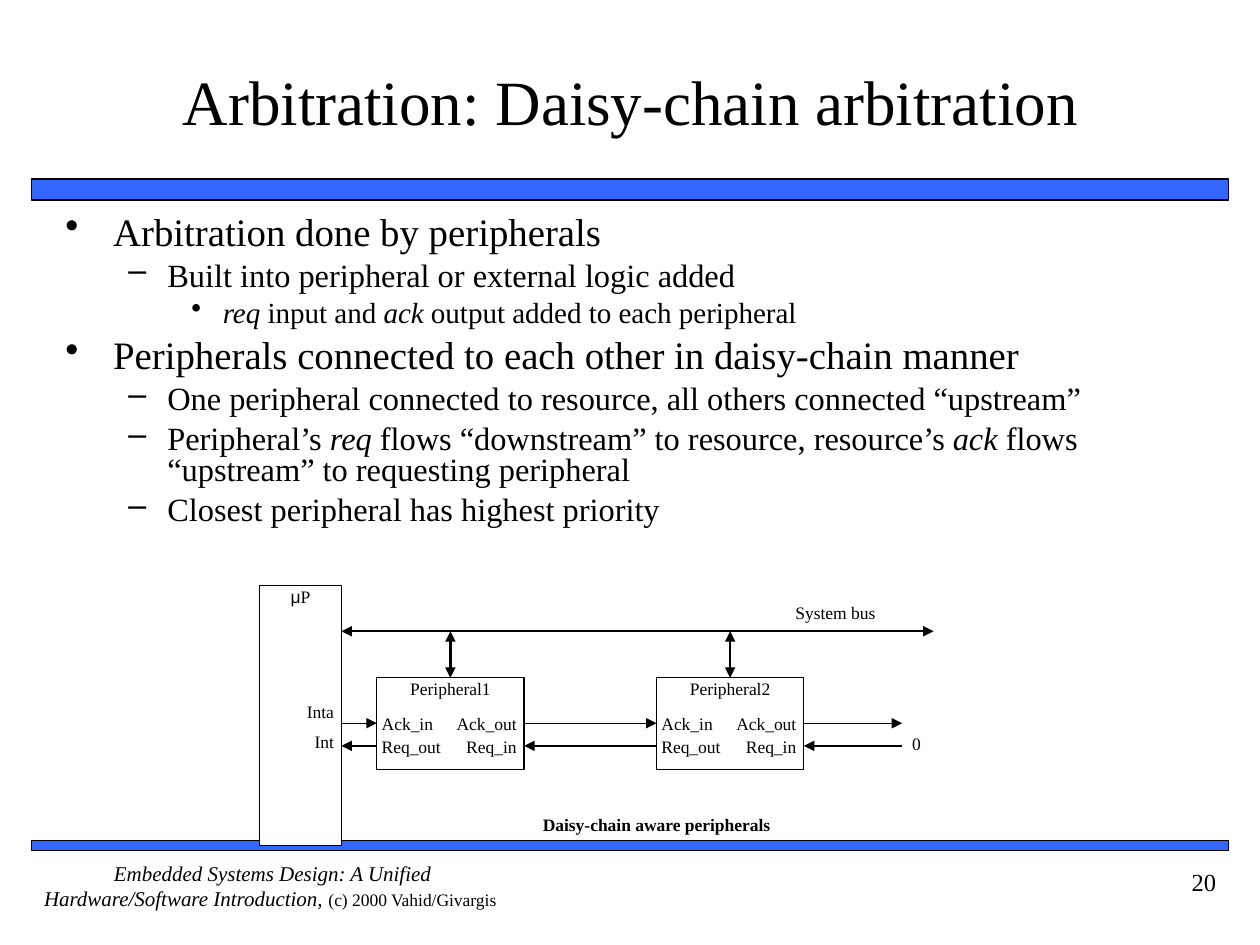
from dataclasses import dataclass

from lxml import etree
from pptx import Presentation
from pptx import util as u
from pptx.dml.color import RGBColor
from pptx.enum import shapes, text
from pptx.oxml.ns import qn

COLORS = {"black": "000000", "white": "FFFFFF", "bar": "3366FF"}
SERIF = "Times New Roman"
LEFT, CENTER, RIGHT = (text.PP_ALIGN.LEFT, text.PP_ALIGN.CENTER,
                       text.PP_ALIGN.RIGHT)


@dataclass
class Run:
    text: str
    size: float = 10
    italic: bool = False
    bold: bool = False
    font: str = SERIF


@dataclass
class Box:
    left: float
    top: float
    width: float
    height: float


@dataclass
class Level:
    size: float
    indent: float
    hang: float
    before: float
    bullet: str


@dataclass
class Wire:
    x1: float
    y1: float
    x2: float
    y2: float
    weight: float = 0.75
    both_ends: bool = False


@dataclass
class Peripheral:
    name: str
    left: float


def rgb(name: str) -> RGBColor:
    return RGBColor.from_string(COLORS[name])


def add_runs(p, runs: list[Run]) -> None:
    for run in runs:
        r = p.add_run()
        r.text = run.text
        r.font.name = run.font
        r.font.size = u.Pt(run.size)
        r.font.italic = run.italic
        r.font.bold = run.bold
        r.font.color.rgb = rgb("black")


def set_frame(tf, inset_x: float = 0, inset_y: float = 0,
              anchor=text.MSO_ANCHOR.TOP) -> None:
    tf.word_wrap = True
    tf.margin_left = tf.margin_right = u.Inches(inset_x)
    tf.margin_top = tf.margin_bottom = u.Inches(inset_y)
    tf.vertical_anchor = anchor


def inches(box: Box) -> list[int]:
    return [u.Inches(v) for v in (box.left, box.top, box.width, box.height)]


def add_text(s, box: Box, runs: list[Run], align=LEFT, **frame):
    tf = s.shapes.add_textbox(*inches(box)).text_frame
    set_frame(tf, **frame)
    p = tf.paragraphs[0]
    p.alignment = align
    add_runs(p, runs)
    return tf


def add_rect(s, box: Box, fill: str, weight: float, runs: list[Run]) -> None:
    sp = s.shapes.add_shape(shapes.MSO_SHAPE.RECTANGLE, *inches(box))
    sp.shadow.inherit = False
    sp.fill.solid()
    sp.fill.fore_color.rgb = rgb(fill)
    sp.line.color.rgb = rgb("black")
    sp.line.width = u.Pt(weight)
    set_frame(sp.text_frame)
    p = sp.text_frame.paragraphs[0]
    p.alignment = CENTER
    add_runs(p, runs)


def add_wire(s, w: Wire) -> None:
    ends = [u.Inches(v) for v in (w.x1, w.y1, w.x2, w.y2)]
    cx = s.shapes.add_connector(shapes.MSO_CONNECTOR.STRAIGHT, *ends)
    cx.line.color.rgb = rgb("black")
    cx.line.width = u.Pt(w.weight)
    ln = cx.line._get_or_add_ln()
    for tag in ("a:headEnd", "a:tailEnd") if w.both_ends else ("a:tailEnd",):
        etree.SubElement(ln, qn(tag), type="triangle")
    etree.SubElement(cx._element.spPr, qn("a:effectLst"))


def add_bullets(s, box: Box, items: list[tuple[int, list[Run]]]) -> None:
    tf = s.shapes.add_textbox(*inches(box)).text_frame
    set_frame(tf, 0.1, 0.05)
    for i, (depth, runs) in enumerate(items):
        level = LEVELS[depth]
        p = tf.add_paragraph() if i else tf.paragraphs[0]
        p.level = depth
        p.line_spacing = 0.8
        p.space_before = u.Pt(level.before if i else 0)
        pPr = p._p.get_or_add_pPr()
        pPr.set("marL", str(u.Inches(level.indent)))
        pPr.set("indent", str(u.Inches(-level.hang)))
        etree.SubElement(pPr, qn("a:buChar"), char=level.bullet)
        for run in runs:
            run.size = level.size
        add_runs(p, runs)


LEVELS = [Level(22.2, 0.38, 0.38, 6, "•"),
          Level(18.5, 0.81, 0.31, 5, "–"),
          Level(16.6, 1.25, 0.25, 4.5, "•")]

BULLETS = [
    (0, [Run("Arbitration done by peripherals")]),
    (1, [Run("Built into peripheral or external logic added")]),
    (2, [Run("req", italic=True), Run(" input and "), Run("ack", italic=True),
         Run(" output added to each peripheral")]),
    (0, [Run("Peripherals connected to each other in daisy-chain manner")]),
    (1, [Run("One peripheral connected to resource, all others connected "
             "“upstream”")]),
    (1, [Run("Peripheral’s "), Run("req", italic=True),
         Run(" flows “downstream” to resource, resource’s "),
         Run("ack", italic=True),
         Run(" flows “upstream” to requesting peripheral")]),
    (1, [Run("Closest peripheral has highest priority")]),
]

# Diagram geometry
CPU = Box(2.06, 4.65, 0.65, 2.06)
CPU_RIGHT = CPU.left + CPU.width
BUS_Y, BLOCK_TOP, ACK_Y, REQ_Y = 5.01, 5.38, 5.74, 5.92
BLOCK_W, BLOCK_H, LABEL_H = 1.17, 0.73, 0.18
PERIPHERALS = [Peripheral("Peripheral1", 2.99), Peripheral("Peripheral2", 5.21)]


def add_peripheral(s, unit: Peripheral) -> None:
    add_rect(s, Box(unit.left, BLOCK_TOP, BLOCK_W, BLOCK_H), "white", 0.75,
             [Run(unit.name)])
    middle = unit.left + BLOCK_W / 2
    add_wire(s, Wire(middle, BUS_Y, middle, BLOCK_TOP, 1.25, True))
    for y, left_pin, right_pin in ((ACK_Y, "Ack_in", "Ack_out"),
                                   (REQ_Y, "Req_out", "Req_in")):
        top = y - 0.08
        add_text(s, Box(unit.left + 0.04, top, 0.53, LABEL_H), [Run(left_pin)])
        add_text(s, Box(unit.left + 0.55, top, 0.56, LABEL_H),
                 [Run(right_pin)], RIGHT)


def main() -> None:
    prs = Presentation()
    prs.slide_width, prs.slide_height = u.Inches(10), u.Inches(7.5)
    s = prs.slides.add_slide(prs.slide_layouts[6])

    # Bars, title, bullets and footer
    for top, height in ((1.42, 0.17), (6.67, 0.08)):
        add_rect(s, Box(0.25, top, 9.5, height), "bar", 1, [])
    add_text(s, Box(0.42, 0.17, 9.17, 1.25),
             [Run("Arbitration: Daisy-chain arbitration", 36)], CENTER,
             inset_y=0.05, anchor=text.MSO_ANCHOR.MIDDLE)
    add_bullets(s, Box(0.42, 1.67, 9.17, 2.67), BULLETS)
    add_text(s, Box(0.25, 6.83, 3.83, 0.5),
             [Run("Embedded Systems Design: A Unified Hardware/Software "
                  "Introduction, ", 12, italic=True),
              Run("(c) 2000 Vahid/Givargis"), Run(" ", 12)], CENTER)
    add_text(s, Box(8.75, 6.83, 1, 0.5), [Run("20", 14)], RIGHT,
             inset_x=0.1, inset_y=0.05)

    # Processor and system bus
    add_rect(s, CPU, "white", 0.75, [Run("μ", font="Arial"), Run("P")])
    for label, top in (("Inta", 5.56), ("Int", 5.8)):
        add_text(s, Box(2.32, top, 0.33, LABEL_H), [Run(label)], RIGHT)
    add_wire(s, Wire(CPU_RIGHT, BUS_Y, 7.41, BUS_Y, 1.25, True))
    add_text(s, Box(6.07, 4.78, 1.12, LABEL_H), [Run("System bus")], CENTER)

    # Peripherals and the daisy chain between them
    for unit in PERIPHERALS:
        add_peripheral(s, unit)
    starts = [CPU_RIGHT] + [unit.left + BLOCK_W for unit in PERIPHERALS]
    stops = [unit.left for unit in PERIPHERALS] + [7.16]
    for start, stop in zip(starts, stops):
        add_wire(s, Wire(start, ACK_Y, stop, ACK_Y))
        add_wire(s, Wire(stop, REQ_Y, start, REQ_Y))
    add_text(s, Box(7.24, 5.82, 0.14, LABEL_H), [Run("0")])
    add_text(s, Box(3.72, 6.46, 2.98, 0.24),
             [Run("Daisy-chain aware peripherals", bold=True)], CENTER)

    prs.save("out.pptx")


if __name__ == "__main__":
    main()
